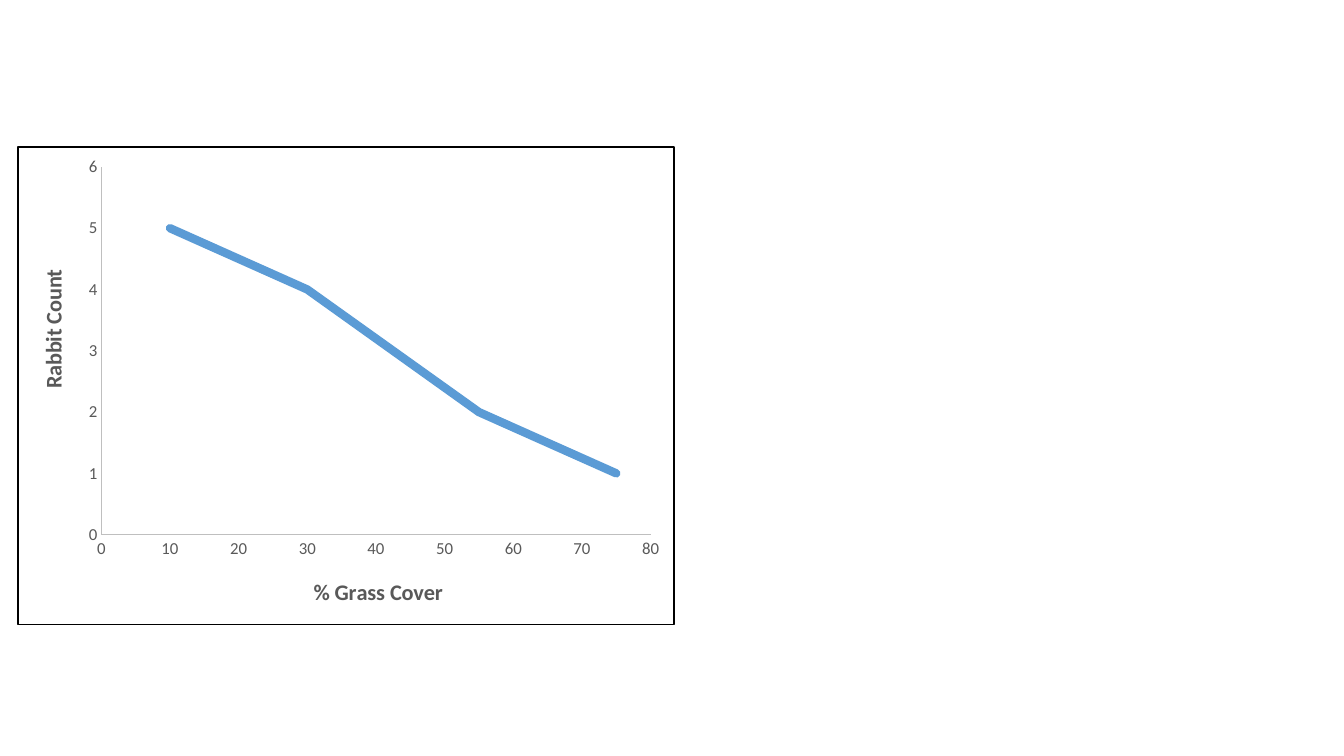
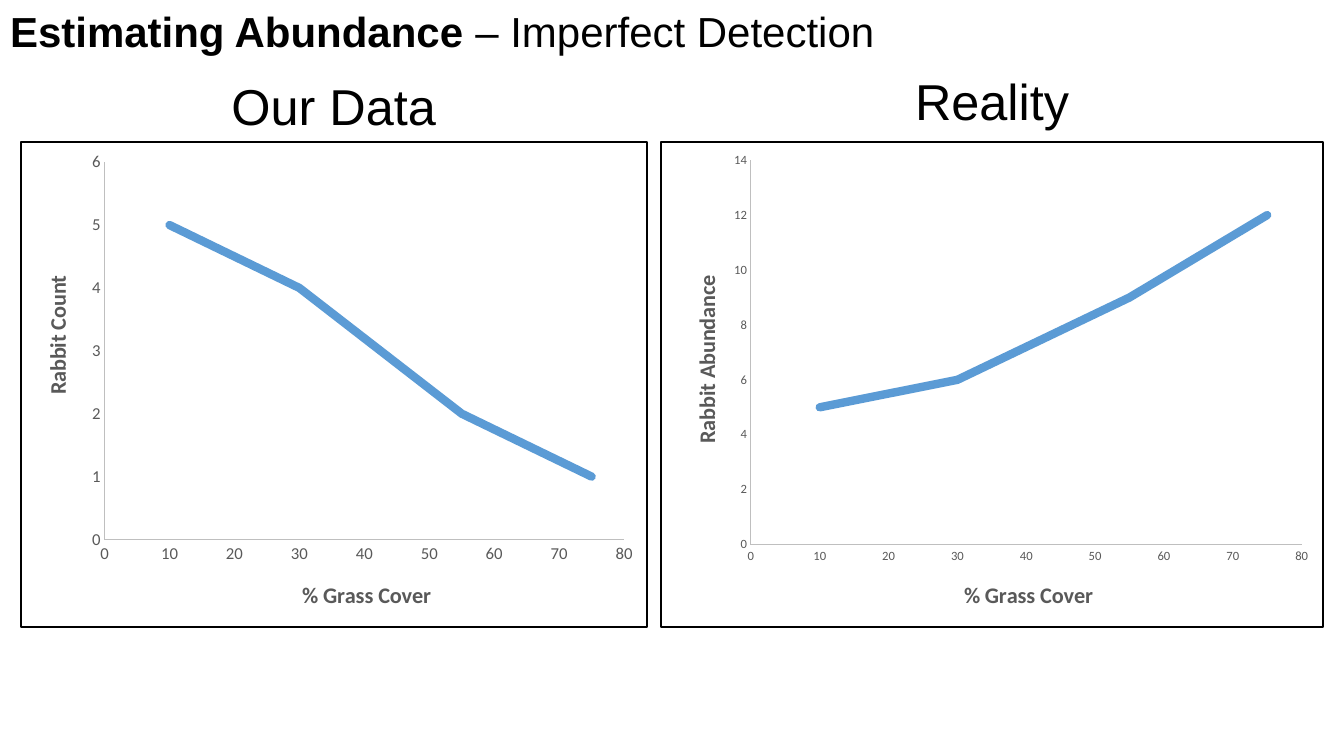
from dataclasses import dataclass

from lxml import etree
from pptx import Presentation
from pptx import util as u
from pptx.chart.data import XyChartData
from pptx.dml.color import RGBColor
from pptx.enum import chart as charts, text
from pptx.oxml import parse_xml
from pptx.oxml.ns import nsdecls, qn


@dataclass(frozen=True)
class Theme:
    black: str = "000000"
    white: str = "FFFFFF"
    label: str = "595959"
    axis: str = "BFBFBF"
    curve: str = "5B9BD5"
    text_font: str = "Arial"
    chart_font: str = "Calibri"
    title_size: int = 30
    heading_size: int = 36
    axis_title_size: int = 16
    curve_width: float = 6
    axis_width: float = 0.75


GRASS_COVER = (10, 30, 55, 75)
COUNTED = (5, 4, 2, 1)
ACTUAL = (5, 6, 9, 12)


class Deck:
    """Holds the style and the current slide."""

    def __init__(self, theme):
        self.theme = theme
        self.prs = Presentation()
        self.prs.slide_width = u.Inches(13.33)
        self.prs.slide_height = u.Inches(7.5)
        self.slide = None

    def new_slide(self, layout):
        self.slide = self.prs.slides.add_slide(
            self.prs.slide_layouts.get_by_name(layout))

    def style(self, font, name, size, color, bold=False):
        font.name, font.size, font.bold = name, u.Pt(size), bold
        font.color.rgb = RGBColor.from_string(color)

    # Text
    def title(self, topic, detail):
        heading = self.slide.shapes.title
        heading.left = heading.top = u.Inches(0)
        heading.width, heading.height = u.Inches(10.22), u.Inches(0.61)
        frame = heading.text_frame
        frame.word_wrap = True
        frame.auto_size = text.MSO_AUTO_SIZE.NONE
        frame.vertical_anchor = text.MSO_ANCHOR.TOP
        line = frame.paragraphs[0]
        line.alignment = text.PP_ALIGN.LEFT
        for words, bold in ((topic, True), (detail, False)):
            run = line.add_run()
            run.text = words
            self.style(run.font, self.theme.text_font, self.theme.title_size,
                       self.theme.black, bold)

    def heading(self, words, left, top):
        box = self.slide.shapes.add_textbox(
            u.Inches(left), u.Inches(top), u.Inches(3.06), u.Inches(0.71))
        frame = box.text_frame
        frame.word_wrap = True
        frame.text = words
        line = frame.paragraphs[0]
        line.alignment = text.PP_ALIGN.CENTER
        self.style(line.runs[0].font, self.theme.text_font,
                   self.theme.heading_size, self.theme.black)

    # Charts
    def place(self, part, index, **fractions):
        """Fix a chart part at fractions of the chart's size."""
        for old in part.findall(qn("c:layout")):
            part.remove(old)
        layout = parse_xml(f"<c:layout {nsdecls('c')}><c:manualLayout/></c:layout>")
        manual = layout[0]
        if "w" in fractions:
            etree.SubElement(manual, qn("c:layoutTarget")).set("val", "inner")
        for mode in ("xMode", "yMode"):
            etree.SubElement(manual, qn(f"c:{mode}")).set("val", "edge")
        for key, value in fractions.items():
            etree.SubElement(manual, qn(f"c:{key}")).set("val", f"{value:.4f}")
        part.insert(index, layout)

    def border(self, chart, width):
        chart.element.find(qn("c:chart")).addnext(parse_xml(
            f"<c:spPr {nsdecls('c', 'a')}>"
            f'<a:solidFill><a:srgbClr val="{self.theme.white}"/></a:solidFill>'
            f'<a:ln w="{u.Pt(width)}"><a:solidFill>'
            f'<a:srgbClr val="{self.theme.black}"/></a:solidFill></a:ln></c:spPr>'))

    def axis(self, axis, name, top, step, size):
        axis.minimum_scale, axis.maximum_scale, axis.major_unit = 0, top, step
        axis.has_major_gridlines = axis.has_minor_gridlines = False
        axis.major_tick_mark = axis.minor_tick_mark = charts.XL_TICK_MARK.NONE
        axis.format.line.color.rgb = RGBColor.from_string(self.theme.axis)
        axis.format.line.width = u.Pt(self.theme.axis_width)
        self.style(axis.tick_labels.font, self.theme.chart_font, size,
                   self.theme.label)
        frame = axis.axis_title.text_frame
        frame.text = name
        self.style(frame.paragraphs[0].runs[0].font, self.theme.chart_font,
                   self.theme.axis_title_size, self.theme.label, True)
        return axis.axis_title.element

    def curve(self, box, plot, name, name_at, counts, top, step, size, border):
        """Draw a smooth curve; box, plot and name_at are slide positions."""
        left, upper, width, height = box
        data = XyChartData()
        series = data.add_series("Series 1")
        for cover, count in zip(GRASS_COVER, counts):
            series.add_data_point(cover, count)
        chart = self.slide.shapes.add_chart(
            charts.XL_CHART_TYPE.XY_SCATTER_SMOOTH_NO_MARKERS,
            *map(u.Inches, box), data).chart
        chart.has_legend = chart.has_title = False
        self.style(chart.font, self.theme.chart_font, 10, self.theme.black)
        self.border(chart, border)
        chart.plots[0].vary_by_categories = False

        line = chart.plots[0].series[0].format.line
        line.color.rgb = RGBColor.from_string(self.theme.curve)
        line.width = u.Pt(self.theme.curve_width)
        chart.element.xpath(".//c:ser/c:spPr/a:ln")[0].set("cap", "rnd")

        cover_title = self.axis(chart.category_axis, "% Grass Cover", 80, 10, size)
        count_title = self.axis(chart.value_axis, name, top, step, size)
        turned = count_title.xpath(".//a:bodyPr")[0]
        turned.set("rot", "-5400000")
        turned.set("vert", "horz")

        # Plot area and axis titles
        plot_left, plot_top, plot_width, plot_height = plot
        self.place(chart.element.xpath(".//c:plotArea")[0], 0,
                   x=(plot_left - left) / width, y=(plot_top - upper) / height,
                   w=plot_width / width, h=plot_height / height)
        self.place(cover_title, 1,
                   x=(plot_left + plot_width / 2 - 0.66 - left) / width,
                   y=1 - 0.51 / height)
        self.place(count_title, 1, x=(name_at[0] - left) / width,
                   y=(name_at[1] - upper) / height)


def main():
    deck = Deck(Theme())

    # Slide 1: counts alone
    deck.new_slide("Blank")
    deck.curve((0.17, 1.45, 6.52, 4.75), (1, 1.65, 5.46, 3.66),
               "Rabbit Count", (0.33, 2.63), COUNTED, 6, 1, 12, 1)

    # Slide 2: counts beside true abundance
    deck.new_slide("Title Only")
    deck.title("Estimating Abundance ", "– Imperfect Detection")
    deck.heading("Our Data", 1.78, 0.7)
    deck.heading("Reality", 8.31, 0.65)
    deck.curve((0.2, 1.4, 6.23, 4.83), (1.03, 1.6, 5.17, 3.76),
               "Rabbit Count", (0.37, 2.69), COUNTED, 6, 1, 12, 1.5)
    deck.curve((6.55, 1.4, 6.58, 4.83), (7.44, 1.58, 5.48, 3.83),
               "Rabbit Abundance", (6.81, 2.69), ACTUAL, 14, 2, 9, 1.5)

    deck.prs.save("out.pptx")


if __name__ == "__main__":
    main()
